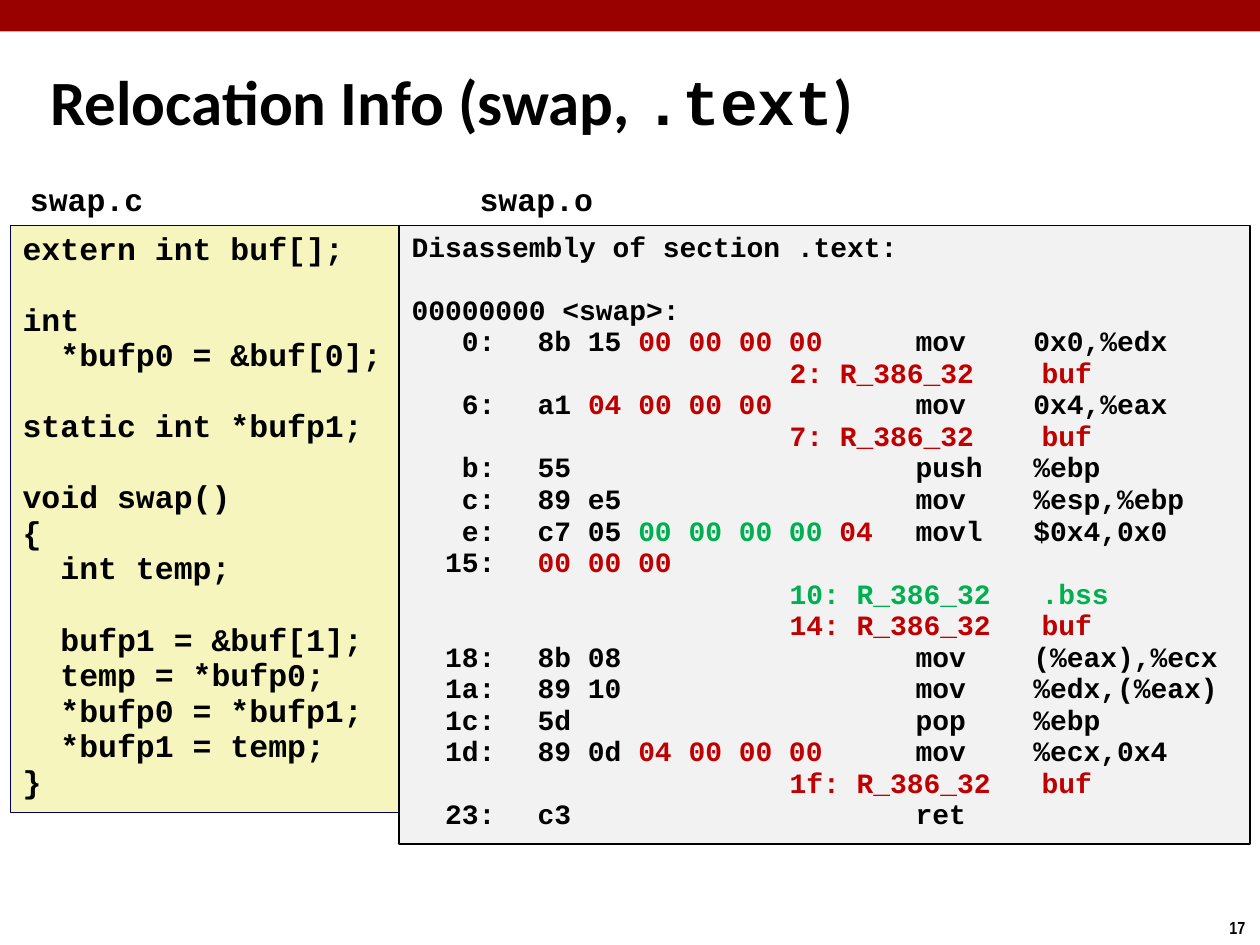
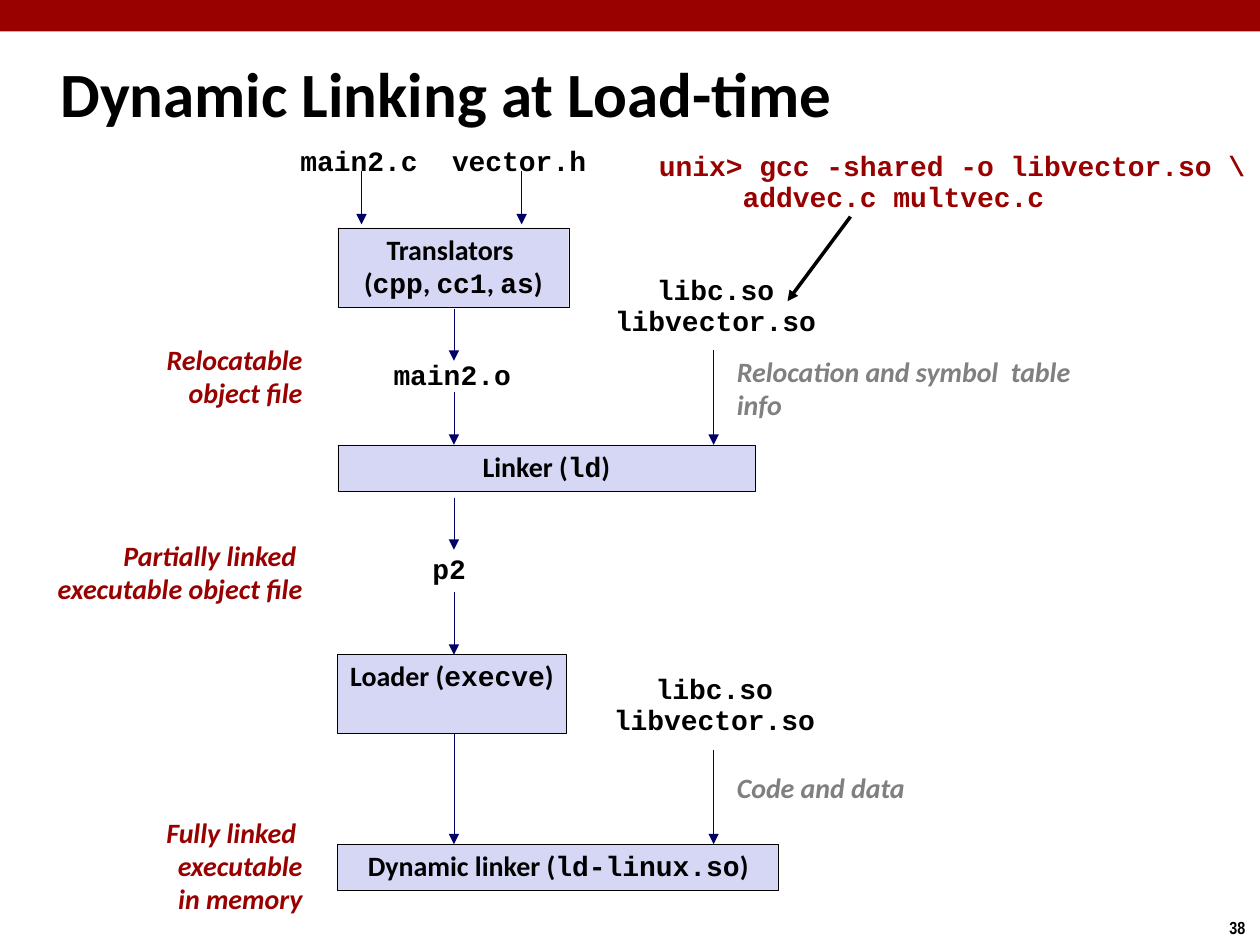
from dataclasses import dataclass, replace
from typing import NamedTuple, Optional

from pptx import Presentation
from pptx.dml.color import RGBColor
from pptx.enum.shapes import MSO_CONNECTOR as Connector, MSO_SHAPE as Preset
from pptx.enum.text import MSO_ANCHOR as Anchor, MSO_AUTO_SIZE as AutoSize, PP_ALIGN as Align
from pptx.oxml.ns import qn
from pptx.util import Pt
from lxml.etree import SubElement

BLACK = RGBColor(0x00, 0x00, 0x00)
CRIMSON = RGBColor(0x99, 0x00, 0x00)
RED = RGBColor(0xC0, 0x00, 0x00)
GREEN = RGBColor(0x00, 0xB0, 0x50)
NAVY = RGBColor(0x00, 0x00, 0x66)
GRAY = RGBColor(0x80, 0x80, 0x80)
PALE_GRAY = RGBColor(0xF2, 0xF2, 0xF2)
YELLOW = RGBColor(0xF6, 0xF5, 0xBD)
LAVENDER = RGBColor(0xD6, 0xD6, 0xF5)

SANS, MONO, NARROW = "Calibri", "Courier New", "Arial Narrow"
PAGE_WIDTH, PAGE_HEIGHT = 720, 540
LINE_FACTOR = 1.13  # height of one code line per point of text size


@dataclass(frozen=True)
class Style:
    size: float
    font: str
    color: RGBColor = BLACK
    italic: bool = False
    align: Align = Align.LEFT
    spacing: Optional[float] = None
    wrap: bool = True
    fill: Optional[RGBColor] = None
    border: Optional[RGBColor] = None
    border_width: float = 0.25
    anchor: Anchor = Anchor.TOP
    grow: bool = True


class Span(NamedTuple):
    text: str
    font: str
    color: RGBColor


class Para(NamedTuple):
    spans: list[Span]
    tabs: tuple[float, ...] = ()
    space_before: float = 0


class Box(NamedTuple):
    left: float
    top: float
    width: float
    height: float
    style: Style
    text: str


class Arrow(NamedTuple):
    x1: float
    y1: float
    x2: float
    y2: float
    color: RGBColor = NAVY
    width: float = 0.25


class Instruction(NamedTuple):
    address: str
    code: list[tuple[str, RGBColor]]
    mnemonic: str = ""
    operand: str = ""


class Relocation(NamedTuple):
    entry: str
    symbol: str
    color: RGBColor = RED


# Shared text styles
TITLE = Style(36, SANS, anchor=Anchor.MIDDLE, grow=False)
PAGE_NUMBER = Style(10, NARROW, wrap=False)
FILE_HEADING = Style(18, MONO, wrap=False)
SOURCE = Style(18, MONO, spacing=0.94, fill=YELLOW, border=NAVY)
LISTING = Style(16, MONO, spacing=0.94, fill=PALE_GRAY, border=BLACK, border_width=1)
FILE = Style(16, MONO, align=Align.CENTER, spacing=0.94, wrap=False)
COMMAND = replace(FILE, color=CRIMSON, align=Align.LEFT)
TOOL = Style(16, SANS, align=Align.CENTER, spacing=0.98, fill=LAVENDER, border=BLACK)
NOTE = Style(16, SANS, GRAY, italic=True, spacing=0.98)
STAGE = replace(NOTE, color=CRIMSON, align=Align.RIGHT)


def parse_text(text: str, style: Style) -> list[Para]:
    """One paragraph a line; `...` is code, an empty line becomes a gap."""
    paras, gap = [], 0.0
    for line in text.split("\n"):
        if not line:
            gap = style.size * LINE_FACTOR
            continue
        spans = [Span(part, MONO if index % 2 else style.font, style.color)
                 for index, part in enumerate(line.split("`")) if part]
        paras.append(Para(spans, space_before=gap))
        gap = 0.0
    return paras


def add_para(frame, para: Para, style: Style, first: bool) -> None:
    line = frame.paragraphs[0] if first else frame.add_paragraph()
    if para.tabs:
        tab_list = SubElement(line._p.get_or_add_pPr(), qn("a:tabLst"))
        for stop in para.tabs:
            SubElement(tab_list, qn("a:tab"), pos=str(int(Pt(stop))), algn="l")
    formats = {"alignment": style.align, "line_spacing": style.spacing}
    if para.space_before:
        formats["space_before"] = Pt(para.space_before)
    for name, value in formats.items():
        setattr(line, name, value)
    for span in para.spans:
        run = line.add_run()
        run.text = span.text
        formats = {"name": span.font, "size": Pt(style.size), "bold": True,
                   "italic": style.italic}
        for name, value in formats.items():
            setattr(run.font, name, value)
        run.font.color.rgb = span.color


def add_rectangle(page, left: float, top: float, width: float, height: float,
                  fill: RGBColor, border: Optional[RGBColor] = None, border_width: float = 0.25):
    shape = page.shapes.add_shape(Preset.RECTANGLE, Pt(left), Pt(top), Pt(width), Pt(height))
    shape.shadow.inherit = False
    shape.fill.solid()
    shape.fill.fore_color.rgb = fill
    if border is None:
        shape.line.fill.background()
    else:
        shape.line.color.rgb = border
        shape.line.width = Pt(border_width)
    return shape


def add_box(page, box: Box, paras: Optional[list[Para]] = None) -> None:
    style = box.style
    if style.fill is None:
        shape = page.shapes.add_textbox(*(Pt(length) for length in box[:4]))
    else:
        shape = add_rectangle(page, *box[:4], style.fill, style.border, style.border_width)
    frame = shape.text_frame
    formats = {"word_wrap": style.wrap, "vertical_anchor": style.anchor,
               "auto_size": AutoSize.SHAPE_TO_FIT_TEXT if style.grow else AutoSize.NONE}
    for name, value in formats.items():
        setattr(frame, name, value)
    for index, para in enumerate(paras or parse_text(box.text, style)):
        add_para(frame, para, style, index == 0)


def add_arrow(page, arrow: Arrow) -> None:
    line = page.shapes.add_connector(Connector.STRAIGHT, *(Pt(length) for length in arrow[:4]))
    line.line.color.rgb = arrow.color
    line.line.width = Pt(arrow.width)
    SubElement(line.line._get_or_add_ln(), qn("a:tailEnd"), type="triangle")
    SubElement(line._element.spPr, qn("a:effectLst"))


def add_page(deck, number: int, title: Box):
    page = deck.slides.add_slide(deck.slide_layouts[6])
    add_rectangle(page, 0, 0, PAGE_WIDTH, 18, CRIMSON)
    add_box(page, Box(695.5, 520.5, 24.5, 19.5, PAGE_NUMBER, str(number)))
    add_box(page, title)
    return page


# Relocation page
SWAP_SOURCE = """extern int buf[];

int
  *bufp0 = &buf[0];

static int *bufp1;

void swap()
{
  int temp;

  bufp1 = &buf[1];
  temp = *bufp0;
  *bufp0 = *bufp1;
  *bufp1 = temp;
}"""

LISTING_HEAD = """Disassembly of section .text:

00000000 <swap>:"""

SWAP_LISTING = [
    Instruction("   0:", [("8b 15 ", BLACK), ("00 00 00 00", RED)], "mov", "0x0,%edx"),
    Relocation("2: R_386_32", "buf"),
    Instruction("   6:", [("a1 ", BLACK), ("04 00 00 00", RED)], "mov", "0x4,%eax"),
    Relocation("7: R_386_32", "buf"),
    Instruction("   b:", [("55", BLACK)], "push", "%ebp"),
    Instruction("   c:", [("89 e5", BLACK)], "mov", "%esp,%ebp"),
    Instruction("   e:", [("c7 05 ", BLACK), ("00 00 00 00 ", GREEN), ("04", RED)],
                "movl", "$0x4,0x0"),
    Instruction("  15:", [("00 00 00", RED)]),
    Relocation("10: R_386_32", ".bss", GREEN),
    Relocation("14: R_386_32", "buf"),
    Instruction("  18:", [("8b 08", BLACK)], "mov", "(%eax),%ecx"),
    Instruction("  1a:", [("89 10", BLACK)], "mov", "%edx,(%eax)"),
    Instruction("  1c:", [("5d", BLACK)], "pop", "%ebp"),
    Instruction("  1d:", [("89 0d ", BLACK), ("04 00 00 00", RED)], "mov", "%ecx,0x4"),
    Relocation("1f: R_386_32", "buf"),
    Instruction("  23:", [("c3", BLACK)], "ret"),
]
INSTRUCTION_TABS = (72, 288, 355.2)
RELOCATION_TABS = (216, 360)


def listing_para(row: Instruction | Relocation) -> Para:
    if isinstance(row, Relocation):
        return Para([Span(f"\t{row.entry}\t{row.symbol}", MONO, row.color)], RELOCATION_TABS)
    spans = [Span(f"{row.address}\t", MONO, BLACK)]
    spans += [Span(text, MONO, color) for text, color in row.code]
    tail = "".join(f"\t{part}" for part in (row.mnemonic, row.operand) if part)
    if tail:
        spans.append(Span(tail, MONO, BLACK))
    return Para(spans, INSTRUCTION_TABS)


def build_relocation_page(deck) -> None:
    title_style = replace(TITLE, spacing=0.82)
    page = add_page(deck, 17, Box(21.6, 30.2, 686, 62, title_style,
                                  "Relocation Info (swap, `.text`)"))
    add_box(page, Box(5.8, 128.9, 221.8, 335.5, SOURCE, SWAP_SOURCE))
    for left, name in ((10, "swap.c"), (267, "swap.o")):
        add_box(page, Box(left, 99.4, 80, 28.8, FILE_HEADING, name))
    paras = parse_text(LISTING_HEAD, LISTING) + [listing_para(row) for row in SWAP_LISTING]
    add_box(page, Box(228.2, 128.9, 486, 353.5, LISTING, ""), paras)


# Dynamic linking page
TOOL_LEFT = 193
FLOW_X, LIBRARY_X = 259.4, 407.8
STAGE_RIGHT = 180
LIBRARIES = "libc.so\nlibvector.so"

LINKING_BOXES = [
    Box(TOOL_LEFT, 130.3, 132, 45.4, TOOL, "Translators \n(`cpp`, `cc1`, `as`)"),
    Box(TOOL_LEFT, 254.2, 238.3, 26.6, TOOL, "Linker (`ld`)"),
    Box(TOOL_LEFT, 373.9, 130.5, 45.4, TOOL, "Loader (`execve`)"),
    Box(TOOL_LEFT, 482.4, 252, 26.6, TOOL, "Dynamic linker (`ld-linux.so`)"),
    Box(164.2, 80, 82, 25.8, FILE, "main2.c"),
    Box(250.6, 80, 92, 25.8, FILE, "vector.h"),
    Box(217.4, 202.6, 82, 25.8, FILE, "main2.o"),
    Box(239.8, 313.2, 33.8, 25.8, FILE, "p2"),
    Box(343.4, 153.6, 131, 43.9, FILE, LIBRARIES),
    Box(342.7, 381.6, 131, 43.9, FILE, LIBRARIES),
    Box(369.4, 82.8, 354.2, 43.9, COMMAND,
        "unix> gcc -shared -o libvector.so \\\n     addvec.c multvec.c"),
    Box(414, 200.2, 205.2, 45.4, NOTE, "Relocation and symbol  table info"),
    Box(414, 437.8, 139.7, 26.6, NOTE, "Code and data"),
]

# Stage labels end at one right edge: top, width, height, text
STAGES = [
    (193, 108, 45.4, "Relocatable\nobject file"),
    (305.3, 198, 45.4, "Partially linked \nexecutable object file"),
    (463.7, 138, 64, "Fully linked \nexecutable\nin memory"),
]

# Vertical arrows: x, top, bottom
DOWN_ARROWS = [
    (206.6, 97.9, 128.2), (298.1, 97.9, 128.2),
    (FLOW_X, 176.4, 206.2), (FLOW_X, 224, 254.2), (FLOW_X, 284.4, 314.2),
    (FLOW_X, 338.4, 374.2), (FLOW_X, 419.3, 482.4),
    (LIBRARY_X, 200.2, 254.2), (LIBRARY_X, 428.4, 482.4),
]


def build_linking_page(deck) -> None:
    page = add_page(deck, 38, Box(27.4, 22.3, 686, 61.2, TITLE,
                                  "Dynamic Linking at Load-time"))
    for box in LINKING_BOXES:
        add_box(page, box)
    for top, width, height, text in STAGES:
        add_box(page, Box(STAGE_RIGHT - width, top, width, height, STAGE, text))
    for x, top, bottom in DOWN_ARROWS:
        add_arrow(page, Arrow(x, top, x, bottom))
    add_arrow(page, Arrow(486, 123.8, 450, 172.1, BLACK, 2))


def main() -> None:
    deck = Presentation()
    deck.slide_width, deck.slide_height = Pt(PAGE_WIDTH), Pt(PAGE_HEIGHT)
    build_relocation_page(deck)
    build_linking_page(deck)
    deck.save("out.pptx")


if __name__ == "__main__":
    main()
